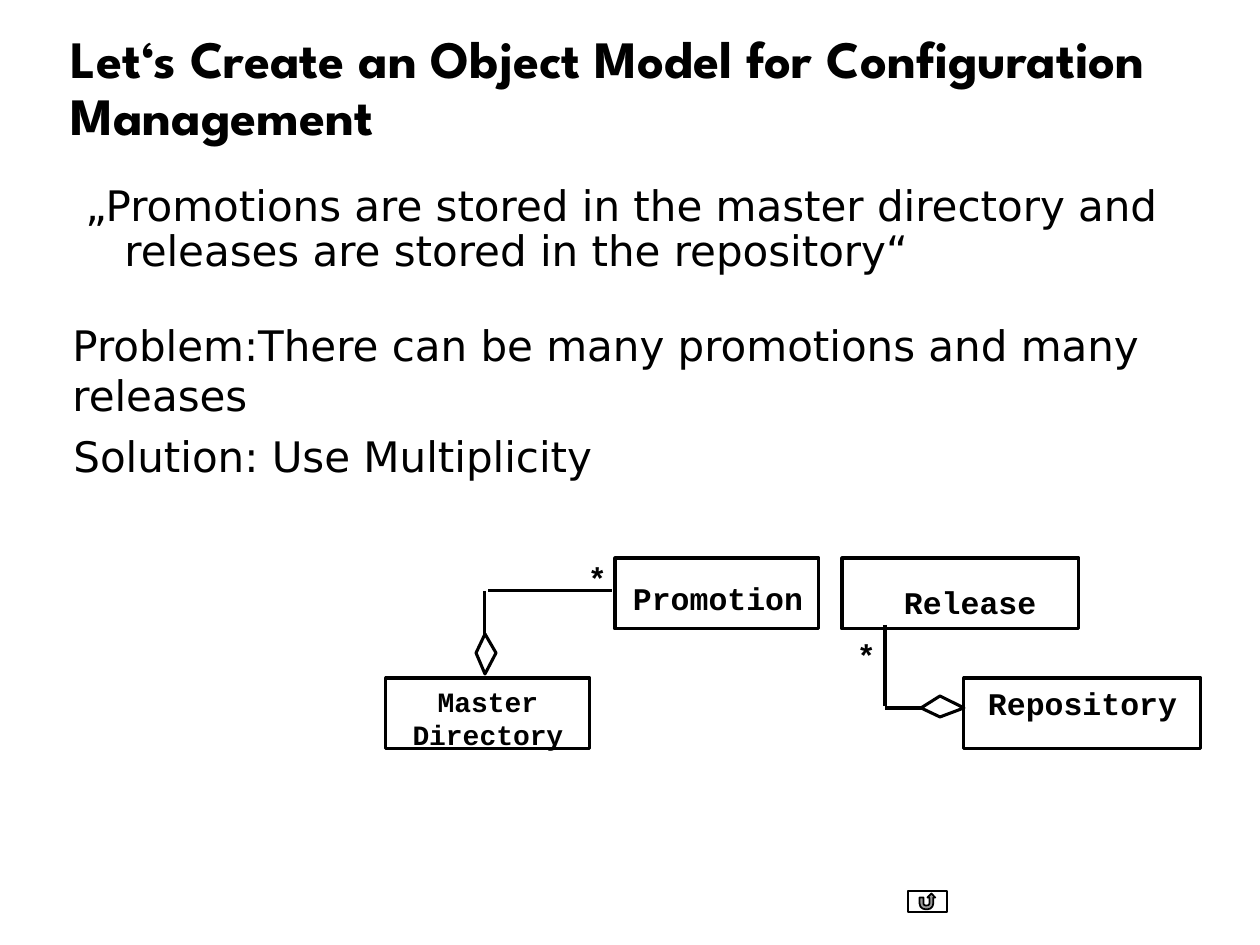
from dataclasses import dataclass

from pptx import Presentation
from pptx.dml.color import RGBColor
from pptx.enum.shapes import MSO_CONNECTOR, MSO_SHAPE
from pptx.enum.text import MSO_ANCHOR, MSO_AUTO_SIZE, PP_ALIGN
from pptx.oxml.ns import qn
from pptx.util import Emu, Pt

EMU_PER_PX = 914400 / 126
STRAIGHT = MSO_CONNECTOR.STRAIGHT
RECTANGLE = MSO_SHAPE.RECTANGLE
RETURN_BUTTON = MSO_SHAPE.ACTION_BUTTON_RETURN
TOP, MIDDLE = MSO_ANCHOR.TOP, MSO_ANCHOR.MIDDLE
CENTER = PP_ALIGN.CENTER
GROW = MSO_AUTO_SIZE.SHAPE_TO_FIT_TEXT

BLACK, WHITE = "000000", "FFFFFF"
TITLE_FONT, BODY_FONT, CODE_FONT = "League Spartan", "DejaVu Sans", "Courier New"
DIAGRAM_LINE = 1.75
BOX_HEIGHT = 71
LABEL_HEIGHT = 38


@dataclass
class TextBlock:
    text: str
    left: int
    top: int
    width: int
    height: int
    size: int = 24
    font: str = BODY_FONT
    bold: bool = False
    anchor: MSO_ANCHOR = TOP
    line_spacing: float = 1.0
    hanging: int = 0


@dataclass
class ClassBox:
    left: int
    top: int
    width: int
    name: str = ""
    size: int = 18


@dataclass
class Label:
    text: str
    left: int
    top: int
    width: int


PROSE = [
    TextBlock("Let‘s Create an Object Model for Configuration Management",
              58, 31, 1124, 118, 30, TITLE_FONT, True, MIDDLE, 0.9),
    TextBlock("„Promotions are stored in the master directory and "
              "releases are stored in the repository“",
              73, 179, 1103, 130, line_spacing=0.9, hanging=39),
    TextBlock("Problem:There can be many promotions and many releases",
              60, 313, 1138, 63),
    TextBlock("Solution: Use Multiplicity", 61, 424, 853, 77),
]
CLASS_BOXES = [
    ClassBox(842, 558, 237),
    ClassBox(964, 678, 237, "Repository"),
    ClassBox(615, 558, 204),
    ClassBox(386, 678, 204, "Master Directory", 16),
]
ASSOCIATIONS = [
    ((930, 708), (885, 708)),
    ((885, 625), (885, 706)),
    ((485, 634), (485, 591)),
    ((612, 591), (488, 591)),
]
AGGREGATIONS = [
    [(940, 717), (964, 708), (940, 696), (921, 708)],
    [(476, 653), (485, 674), (496, 653), (485, 634)],
]
LABELS = [
    Label("Release", 904, 583, 136),
    Label("Promotion", 633, 579, 174),
    Label("*", 588, 559, 20),
    Label("*", 857, 636, 20),
]


def px(length: int) -> Emu:
    return Emu(round(length * EMU_PER_PX))


def color(hex_value: str) -> RGBColor:
    return RGBColor.from_string(hex_value)


def style_text(paragraph, size: int, font: str, bold: bool) -> None:
    for run in paragraph.runs:
        run.font.size = Pt(size)
        run.font.name = font
        run.font.bold = bold
        run.font.color.rgb = color(BLACK)


def style_outline(shape, width: float) -> None:
    shape.shadow.inherit = False
    shape.fill.solid()
    shape.fill.fore_color.rgb = color(WHITE)
    shape.line.color.rgb = color(BLACK)
    shape.line.width = Pt(width)


def draw_prose(slide, block: TextBlock) -> None:
    frame = slide.shapes.add_textbox(
        px(block.left), px(block.top), px(block.width), px(block.height)).text_frame
    frame.word_wrap = True
    frame.vertical_anchor = block.anchor
    frame.text = block.text
    paragraph = frame.paragraphs[0]
    paragraph.line_spacing = block.line_spacing
    if block.hanging:
        properties = paragraph._p.get_or_add_pPr()
        properties.set("marL", str(px(block.hanging)))
        properties.set("indent", str(-px(block.hanging)))
    style_text(paragraph, block.size, block.font, block.bold)


def draw_class_box(slide, box: ClassBox) -> None:
    shape = slide.shapes.add_shape(
        RECTANGLE, px(box.left), px(box.top), px(box.width), px(BOX_HEIGHT))
    style_outline(shape, DIAGRAM_LINE)
    if box.name:
        frame = shape.text_frame
        frame.word_wrap = True
        frame.vertical_anchor = TOP
        frame.text = box.name
        frame.paragraphs[0].alignment = CENTER
        style_text(frame.paragraphs[0], box.size, CODE_FONT, True)


def draw_association(slide, start: tuple[int, int], end: tuple[int, int]) -> None:
    line = slide.shapes.add_connector(STRAIGHT, *map(px, start + end))
    line.line.color.rgb = color(BLACK)
    line.line.width = Pt(DIAGRAM_LINE)
    properties = line._element.spPr
    properties.append(properties.makeelement(qn("a:effectLst"), {}))


def draw_aggregation(slide, corners: list[tuple[int, int]]) -> None:
    builder = slide.shapes.build_freeform(*corners[0], scale=EMU_PER_PX)
    builder.add_line_segments(corners[1:], close=True)
    style_outline(builder.convert_to_shape(), DIAGRAM_LINE)


def draw_label(slide, label: Label) -> None:
    frame = slide.shapes.add_textbox(
        px(label.left), px(label.top), px(label.width), px(LABEL_HEIGHT)).text_frame
    frame.margin_left = frame.margin_right = 0
    frame.margin_top = frame.margin_bottom = 0
    frame.word_wrap = False
    frame.auto_size = GROW
    frame.text = label.text
    style_text(frame.paragraphs[0], 18, CODE_FONT, True)


def main() -> None:
    presentation = Presentation()
    presentation.slide_width = px(1260)
    presentation.slide_height = px(945)
    slide = presentation.slides.add_slide(presentation.slide_layouts[6])

    return_button = slide.shapes.add_shape(
        RETURN_BUTTON, px(908), px(891), px(39), px(21))
    style_outline(return_button, 1)
    for block in PROSE:
        draw_prose(slide, block)
    for box in CLASS_BOXES:
        draw_class_box(slide, box)
    for start, end in ASSOCIATIONS:
        draw_association(slide, start, end)
    for corners in AGGREGATIONS:
        draw_aggregation(slide, corners)
    for label in LABELS:
        draw_label(slide, label)

    presentation.save("out.pptx")


if __name__ == "__main__":
    main()
